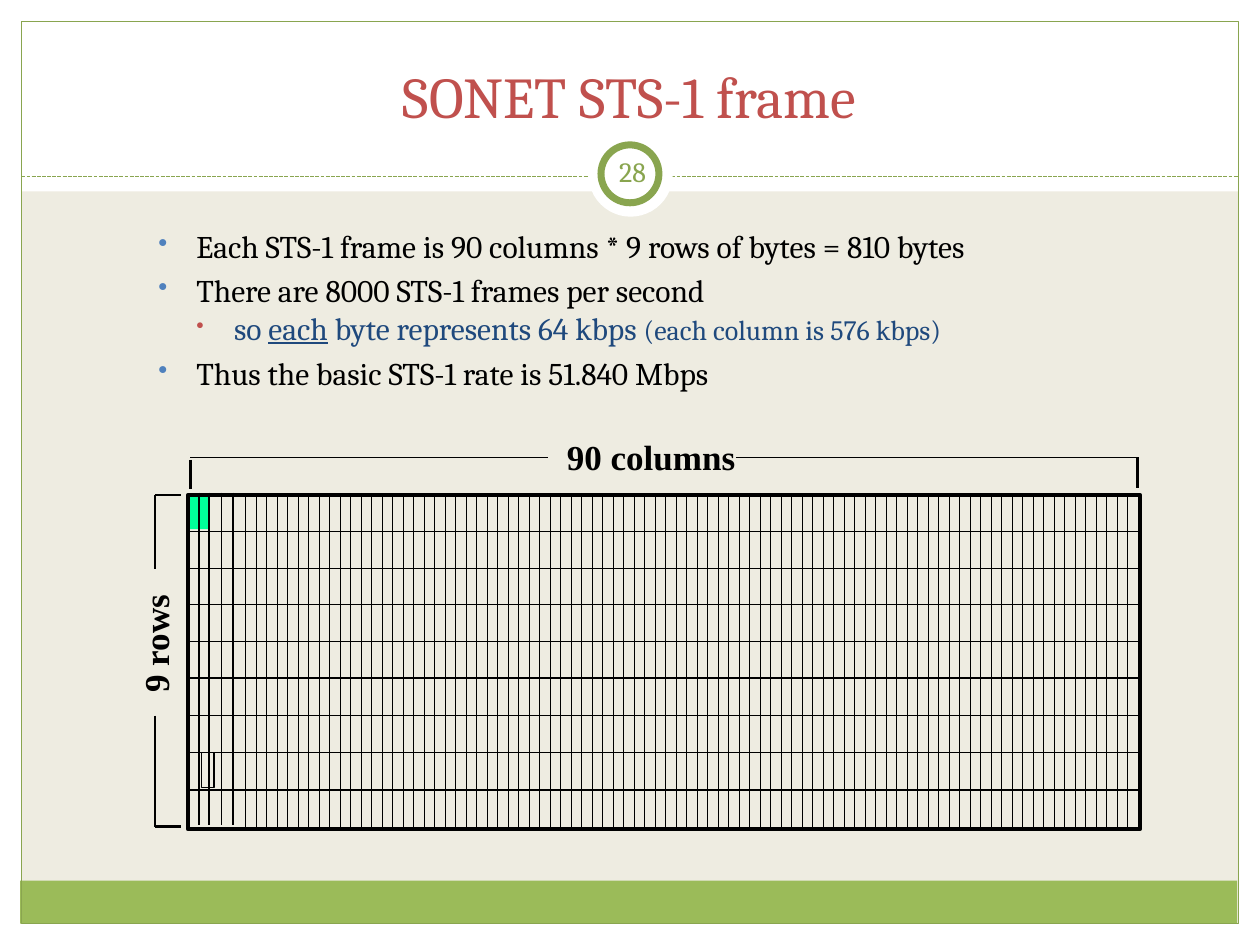
"""Build the SONET STS-1 frame slide."""
from lxml import etree
from pptx import Presentation
from pptx.dml.color import RGBColor
from pptx.enum.dml import MSO_LINE
from pptx.enum.shapes import MSO_CONNECTOR, MSO_SHAPE
from pptx.enum.text import MSO_ANCHOR, PP_ALIGN
from pptx.oxml.ns import qn
from pptx.util import Inches, Pt

RECT, OVAL = MSO_SHAPE.RECTANGLE, MSO_SHAPE.OVAL
STRAIGHT, DASH = MSO_CONNECTOR.STRAIGHT, MSO_LINE.SQUARE_DOT
LEFT, CENTER = PP_ALIGN.LEFT, PP_ALIGN.CENTER
TOP, MIDDLE, BOTTOM = MSO_ANCHOR.TOP, MSO_ANCHOR.MIDDLE, MSO_ANCHOR.BOTTOM
WHITE, BLACK, GREEN, RED, BLUE, NAVY = (
    "FFFFFF", "000000", "89A54F", "C0504D", "4F81BD", "1F497D")
color = RGBColor.from_string


def add_span(para, text, size=18, font="Cambria", fill=BLACK, bold=False, underline=False):
    span = para.add_run()
    span.text = text
    span.font.size = Pt(size)
    span.font.name = font
    span.font.color.rgb = color(fill)
    span.font.bold = bold
    span.font.underline = underline


deck = Presentation()
deck.slide_width, deck.slide_height = Inches(10), Inches(7.5)
page = deck.slides.add_slide(deck.slide_layouts[6])
page.background.fill.solid()
page.background.fill.fore_color.rgb = color("EEECE1")

panels = [
    (RECT, (0, 7.33, 10, 0.17), WHITE, None, 0),
    (RECT, (0, 0, 10, 1.52), WHITE, None, 0),
    (RECT, (0, 0, 0.17, 7.5), WHITE, None, 0),
    (RECT, (9.83, 0, 0.17, 7.5), WHITE, None, 0),
    (RECT, (0.16, 6.99, 9.66, 0.34), "9BBB59", None, 0),
    (RECT, (0.17, 0.17, 9.66, 7.16), None, GREEN, 0.75),
]
header_rule = [(0.17, 1.4, 9.83, 1.4, GREEN, 0.75, DASH)]

badge_and_frame = [
    (OVAL, (4.67, 1.05, 0.67, 0.67), WHITE, None, 0),
    (OVAL, (4.77, 1.15, 0.46, 0.46), WHITE, GREEN, 4),
    (RECT, (1.51, 3.94, 0.14, 0.26), "00FF99", None, 0),
    (RECT, (1.49, 3.93, 7.56, 2.65), None, BLACK, 2.25),
    (RECT, (1.6, 5.97, 0.1, 0.28), None, BLACK, 0.75),
]
brackets = [
    (1.51, 3.63, 4.35, 3.63, BLACK, 0.75, None),
    (5.84, 3.63, 9.03, 3.63, BLACK, 0.75, None),
    (1.51, 3.65, 1.51, 3.88, BLACK, 1.5, None),
    (9.03, 3.63, 9.03, 3.87, BLACK, 1.5, None),
    (1.23, 3.93, 1.23, 4.52, BLACK, 0.75, None),
    (1.23, 5.68, 1.23, 6.56, BLACK, 0.75, None),
    (1.23, 3.93, 1.44, 3.93, BLACK, 1.5, None),
    (1.23, 6.56, 1.44, 6.56, BLACK, 1.5, None),
]
row_lines = [(1.49, y, 9.05, y, BLACK, 0.75, None)
             for y in (4.22, 4.51, 4.8, 5.09, 5.38, 5.68, 5.97, 6.27)]
first_columns = [(x, 3.91, x, 6.55, BLACK, 0.75, None)
                 for x in (1.58, 1.66, 1.76, 1.85)]
other_columns = [(1.95 + step / 12, 3.93, 1.95 + step / 12, 6.58, BLACK, 0.75, None)
                 for step in range(85)]
frame_lines = brackets + row_lines + first_columns + other_columns

for shapes, lines in ((panels, header_rule), (badge_and_frame, frame_lines)):
    for kind, place, fill, outline, width in shapes:
        shape = page.shapes.add_shape(kind, *map(Inches, place))
        shape.shadow.inherit = False
        if fill:
            shape.fill.solid()
            shape.fill.fore_color.rgb = color(fill)
        else:
            shape.fill.background()
        if outline:
            shape.line.color.rgb = color(outline)
            shape.line.width = Pt(width)
        else:
            shape.line.fill.background()
    for x1, y1, x2, y2, stroke, width, dash in lines:
        line = page.shapes.add_connector(STRAIGHT, *map(Inches, (x1, y1, x2, y2)))
        line.line.color.rgb = color(stroke)
        line.line.width = Pt(width)
        if dash:
            line.line.dash_style = dash
        etree.SubElement(line._element.spPr, qn("a:effectLst"))

title_format = {"size": 33, "fill": RED}
label_format = {"size": 20, "font": "Times New Roman", "bold": True}
number_format = {"size": 16, "fill": GREEN}
labels = [
    ("SONET STS-1 frame", (0.33, 0.25, 9.33, 0.83), CENTER, BOTTOM, 0, 0.1, title_format),
    ("90 columns", (4.4, 3.41, 1.89, 0.43), LEFT, TOP, 0, 0.1, label_format),
    ("9 rows", (0.73, 4.88, 1, 0.43), LEFT, TOP, 270, 0.1, label_format),
    ("28", (4.77, 1.12, 0.5, 0.48), CENTER, MIDDLE, 0, 0.05, number_format),
]
for text, place, align, anchor, rotation, inset, style in labels:
    box = page.shapes.add_textbox(*map(Inches, place))
    box.rotation = rotation
    frame = box.text_frame
    frame.word_wrap = True
    frame.vertical_anchor = anchor
    frame.margin_left = frame.margin_right = Inches(inset)
    para = frame.paragraphs[0]
    para.alignment = align
    add_span(para, text, **style)

bullets = [
    (0, [("Each STS-1 frame is 90 columns * 9 rows of bytes = 810 bytes", {})]),
    (0, [("There are 8000 STS-1 frames per second", {})]),
    (1, [("so ", {"fill": NAVY}),
         ("each", {"fill": NAVY, "underline": True}),
         (" byte represents 64 kbps ", {"fill": NAVY}),
         ("(each column is 576 kbps)", {"fill": NAVY, "size": 16})]),
    (0, [("Thus the basic STS-1 rate is 51.840 Mbps", {})]),
]
bullet_styles = [(BLUE, "85000", 1.0, 4), (RED, "70000", 0.9, 2)]
body = page.shapes.add_textbox(*map(Inches, (1.16, 1.75, 8.06, 1.79))).text_frame
body.word_wrap = True
for index, (level, spans) in enumerate(bullets):
    para = body.add_paragraph() if index else body.paragraphs[0]
    bullet_color, bullet_size, spacing, gap = bullet_styles[level]
    para.level = level
    properties = para._p.get_or_add_pPr()
    properties.set("marL", str(Inches(0.3 * (level + 1))))
    properties.set("indent", str(Inches(-0.3)))
    tint = etree.SubElement(properties, qn("a:buClr"))
    etree.SubElement(tint, qn("a:srgbClr"), val=bullet_color)
    etree.SubElement(properties, qn("a:buSzPct"), val=bullet_size)
    etree.SubElement(properties, qn("a:buChar"), char="•")
    para.line_spacing = spacing
    if index:
        para.space_before = Pt(gap)
    for text, style in spans:
        add_span(para, text, **style)

deck.save("out.pptx")
